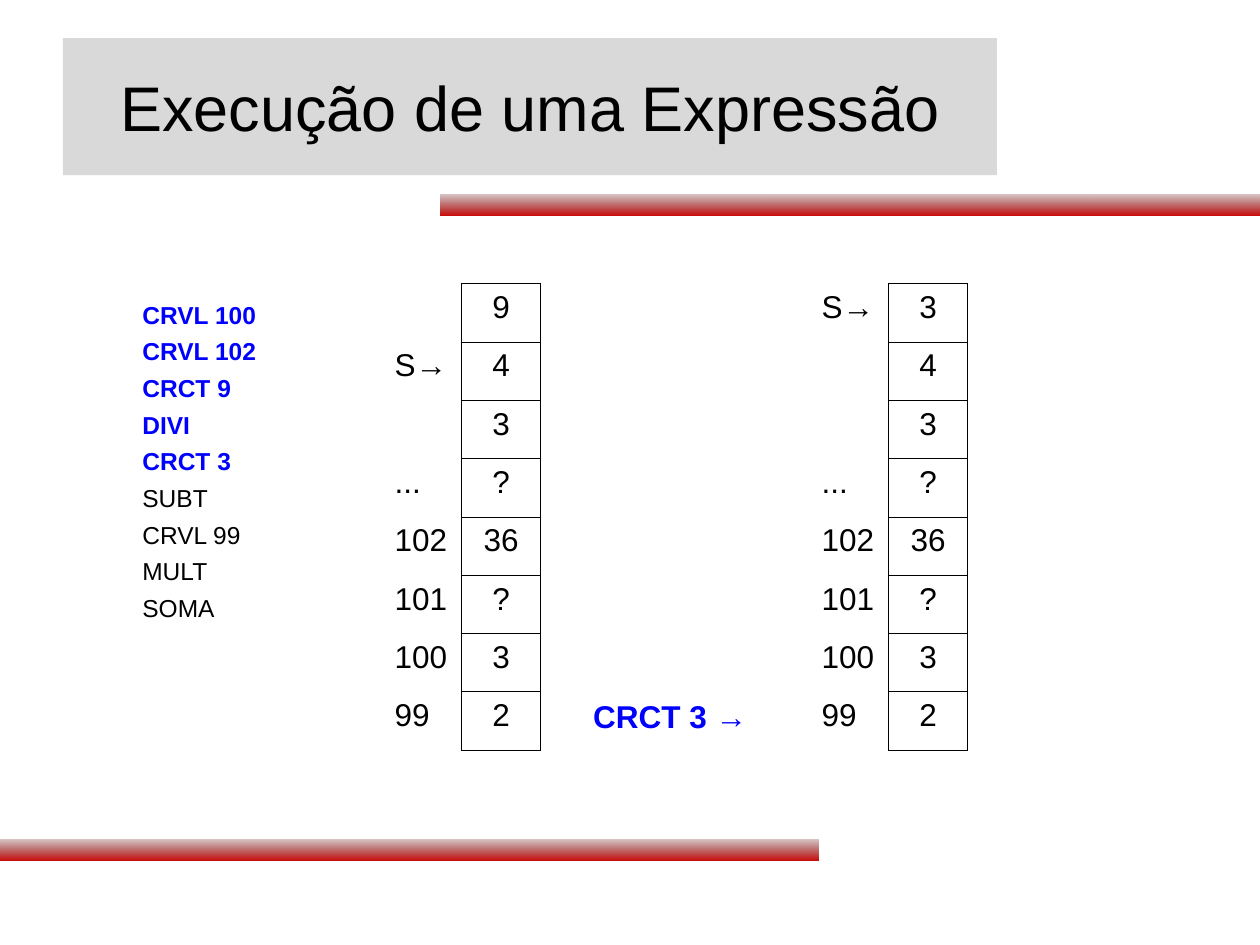
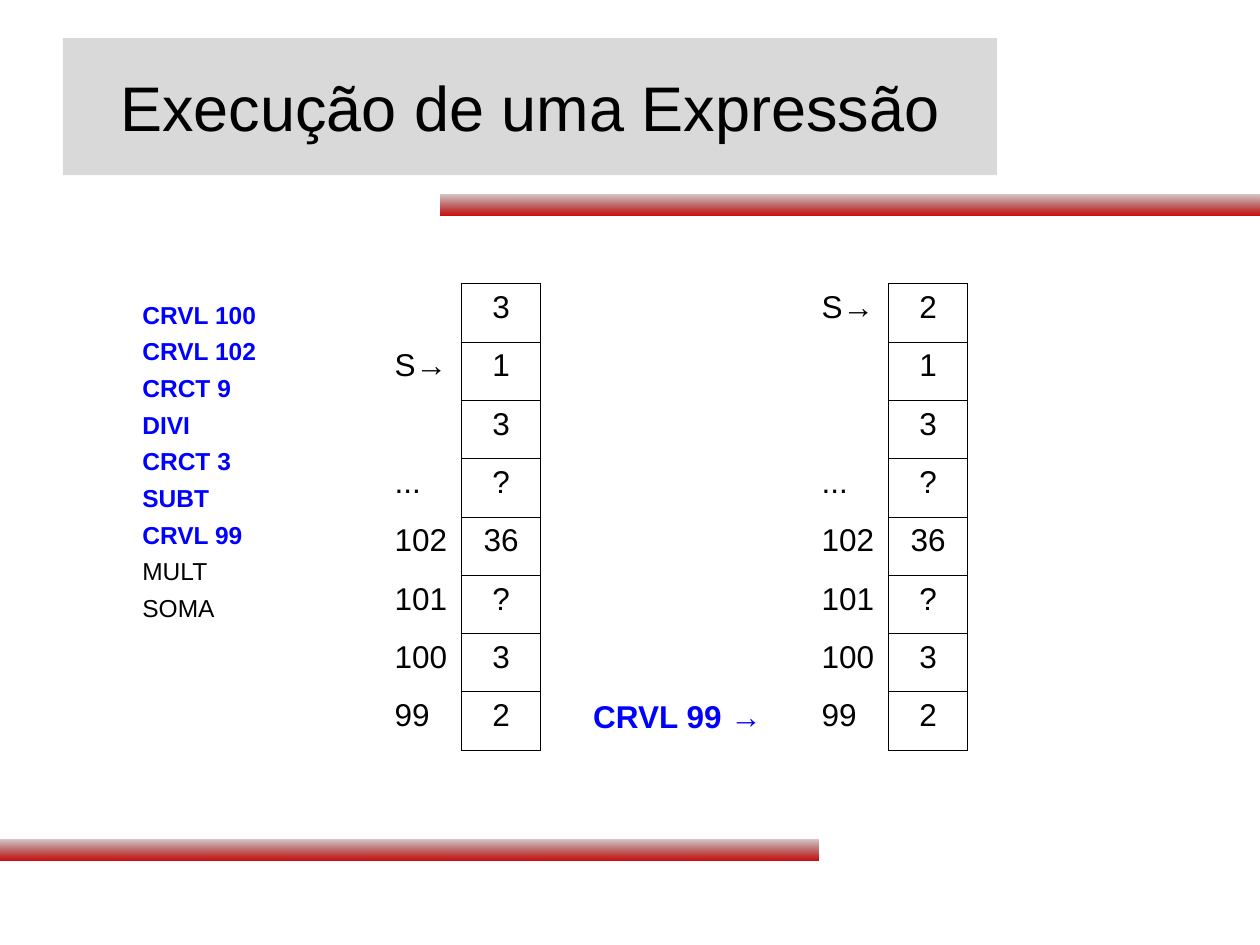
import dataclasses

import lxml.etree
import pptx
import pptx.dml.color
import pptx.enum.shapes
import pptx.enum.text
import pptx.oxml
import pptx.oxml.ns
import pptx.util

Cm = pptx.util.Cm
Pt = pptx.util.Pt
RGB = pptx.dml.color.RGBColor
ALIGN = pptx.enum.text.PP_ALIGN
RECT = pptx.enum.shapes.MSO_SHAPE.RECTANGLE
NS = pptx.oxml.ns.nsdecls("a")


@dataclasses.dataclass(frozen=True)
class Theme:
    font: str = "Arial"
    ink: str = "000000"
    done: str = "0000FF"
    panel: str = "D9D9D9"
    dark: str = "5E0000"
    red: str = "CC0000"
    head: int = 36
    cell: int = 18
    code: int = 14
    gap: float = 4.15
    rule: float = 0.45


theme = Theme()


def write(para, text, size, color=theme.ink, bold=False):
    run = para.add_run()
    run.text = text
    run.font.name = theme.font
    run.font.size = Pt(size)
    run.font.bold = bold
    run.font.color.rgb = RGB.from_string(color)


def border(cell, sides):
    props = cell._tc.get_or_add_tcPr()
    for side in sides:
        props.append(pptx.oxml.parse_xml(
            f'<a:ln{side} {NS} w="{Pt(theme.rule)}"><a:solidFill>'
            f'<a:srgbClr val="{theme.ink}"/></a:solidFill></a:ln{side}>'))


title = "Execução de uma Expressão"
codes = ["CRVL 100", "CRVL 102", "CRCT 9", "DIVI", "CRCT 3",
         "SUBT", "CRVL 99", "MULT", "SOMA"]
marks = ["...", "102", "101", "100", "99"]
memory = ["3", "?", "36", "?", "3", "2"]
steps = [
    (5, ["9", "4"], ["3", "4"]),
    (7, ["3", "1"], ["2", "1"]),
]
bands = [(0, 16.92), (8.89, 3.92)]
blend = (
    f'<a:gradFill {NS} rotWithShape="1"><a:gsLst>'
    f'<a:gs pos="0"><a:srgbClr val="{theme.dark}"><a:alpha val="21000"/></a:srgbClr></a:gs>'
    f'<a:gs pos="100000"><a:srgbClr val="{theme.red}"/></a:gs>'
    f'</a:gsLst><a:lin ang="5400000" scaled="1"/></a:gradFill>')
plain = "{2D5ABB26-0587-4C30-8999-92F81FD0307C}"

deck = pptx.Presentation()
deck.slide_width = Cm(25.4)
deck.slide_height = Cm(19.05)

for count, before, after in steps:
    slide = deck.slides.add_slide(deck.slide_layouts[6])
    shapes = slide.shapes

    for left, top in bands:
        band = shapes.add_shape(RECT, Cm(left), Cm(top), Cm(16.51), Cm(0.42))
        band.shadow.inherit = False
        band.line.fill.background()
        outline = band._element.spPr.find(pptx.oxml.ns.qn("a:prstGeom"))
        outline.addnext(pptx.oxml.parse_xml(blend))

    panel = shapes.add_shape(RECT, Cm(1.27), Cm(0.77), Cm(18.83), Cm(2.76))
    panel.shadow.inherit = False
    panel.fill.solid()
    panel.fill.fore_color.rgb = RGB.from_string(theme.panel)
    panel.line.fill.background()
    frame = panel.text_frame
    frame.vertical_anchor = pptx.enum.text.MSO_ANCHOR.MIDDLE
    frame.paragraphs[0].alignment = ALIGN.CENTER
    write(frame.paragraphs[0], title, theme.head)

    frame = shapes.add_textbox(Cm(1.5), Cm(5.92), Cm(4.4), Cm(6.8)).text_frame
    frame.word_wrap = True
    frame.margin_left = Cm(1.37)
    for row, code in enumerate(codes):
        para = frame.add_paragraph() if row else frame.paragraphs[0]
        if row:
            para.space_before = Pt(theme.gap)
        ran = row < count
        write(para, code, theme.code, theme.done if ran else theme.ink, ran)

    for left, stack, top in [(7.7, before, 1), (16.31, after, 0)]:
        cells = stack + memory
        start = len(cells) - len(marks)
        labels = ["S→" if row == top else "" for row in range(start)] + marks
        table = shapes.add_table(
            len(cells), 2, Cm(left), Cm(5.72), Cm(3.2), Cm(9.4)).table
        table.first_row = False
        table.horz_banding = False
        table._tbl.tblPr.find(pptx.oxml.ns.qn("a:tableStyleId")).text = plain
        for row, (label, value) in enumerate(zip(labels, cells)):
            mark, slot = table.cell(row, 0), table.cell(row, 1)
            border(mark, "R")
            border(slot, "LRTB")
            for cell, text in [(mark, label), (slot, value)]:
                cell.fill.background()
                if text:
                    write(cell.text_frame.paragraphs[0], text, theme.cell)
            mark.margin_right = 0
            slot.text_frame.paragraphs[0].alignment = ALIGN.CENTER

    frame = shapes.add_textbox(Cm(11.71), Cm(13.92), Cm(4.4), Cm(1.2)).text_frame
    frame.word_wrap = True
    write(frame.paragraphs[0], f"{codes[count - 1]} →", theme.cell, theme.done, True)

deck.save("out.pptx")
